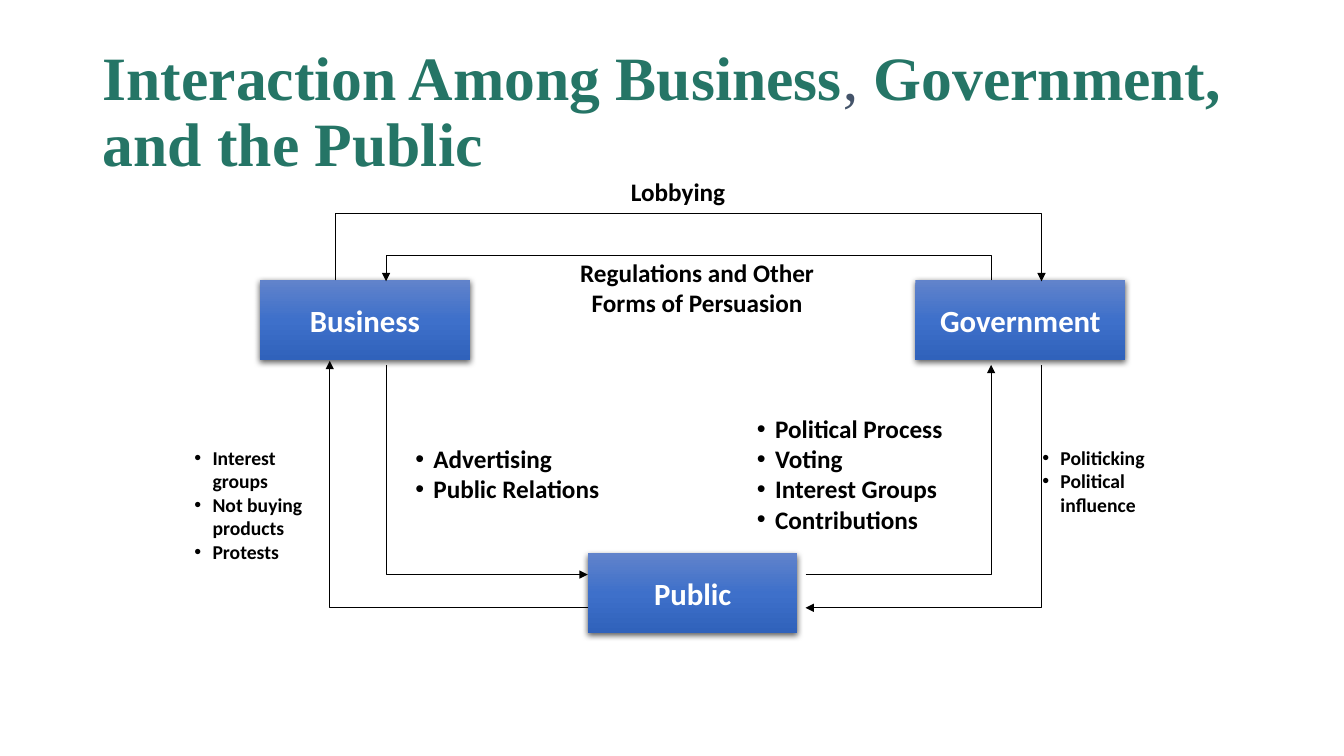
from copy import deepcopy

from lxml.etree import SubElement
from pptx import Presentation
from pptx.dml.color import RGBColor
from pptx.enum.shapes import MSO_CONNECTOR, MSO_SHAPE
from pptx.enum.text import MSO_ANCHOR, MSO_AUTO_SIZE, PP_ALIGN
from pptx.oxml.ns import qn
from pptx.util import Inches, Pt

GREEN = RGBColor(0x25, 0x75, 0x66)
SLATE = RGBColor(0x44, 0x54, 0x6A)
BLACK = RGBColor(0, 0, 0)
WHITE = RGBColor(0xFF, 0xFF, 0xFF)
BLUES = (
    RGBColor(0x61, 0x83, 0xCB),
    RGBColor(0x3E, 0x70, 0xCA),
    RGBColor(0x30, 0x62, 0xBB),
)


def node(parent, tag, **attrs):
    """Add an XML child with the given attributes."""
    return SubElement(parent, qn(tag), {k: str(v) for k, v in attrs.items()})


def write(para, text, size=18, color=BLACK, bold=True, font="Calibri", align=None):
    """Add formatted text to a paragraph, with a break at each newline."""
    para.alignment = align
    for i, part in enumerate(text.split("\n")):
        if i:
            para.add_line_break()
        run = para.add_run()
        run.text = part
        run.font.size = Pt(size)
        run.font.name = font
        run.font.bold = bold
        run.font.color.rgb = color
    for gap in para._p.findall(qn("a:br")):
        gap.append(deepcopy(run._r.rPr))


def frame(slide, left, top, width, height, wrap=True, grow=True):
    """Add a text box and return its text frame."""
    box = slide.shapes.add_textbox(
        Inches(left), Inches(top), Inches(width), Inches(height)
    )
    body = box.text_frame
    body.word_wrap = wrap
    body.auto_size = MSO_AUTO_SIZE.SHAPE_TO_FIT_TEXT if grow else MSO_AUTO_SIZE.NONE
    return body


def title(slide):
    """Add the heading in its two colours."""
    body = frame(slide, 0.92, 0.4, 11.5, 1.45, grow=False)
    body.vertical_anchor = MSO_ANCHOR.MIDDLE
    para = body.paragraphs[0]
    para.line_spacing = 0.9
    look = {"size": 44, "font": "Times New Roman"}
    write(para, "Interaction Among Business", color=GREEN, **look)
    write(para, ", ", color=SLATE, bold=False, **look)
    write(para, "Government, and the Public", color=GREEN, **look)


def bullets(slide, place, items, size=18):
    """Add a bulleted list."""
    body = frame(slide, *place, wrap=False)
    for i, item in enumerate(items):
        para = body.add_paragraph() if i else body.paragraphs[0]
        write(para, item, size=size)
        props = para._p.get_or_add_pPr()
        props.set("marL", str(Inches(0.18)))
        props.set("indent", str(-Inches(0.18)))
        node(props, "a:buFont", typeface="Arial")
        node(props, "a:buChar", char="•")


def actor(slide, name, left, top):
    """Add a shaded box for one party."""
    box = slide.shapes.add_shape(
        MSO_SHAPE.RECTANGLE, Inches(left), Inches(top), Inches(2.08), Inches(0.79)
    )
    box.line.fill.background()
    box.shadow.inherit = False
    props = box._element.spPr
    grad = node(props, "a:gradFill", rotWithShape=1)
    stops = node(grad, "a:gsLst")
    for i, color in enumerate(BLUES):
        node(node(stops, "a:gs", pos=i * 50000), "a:srgbClr", val=color)
    node(grad, "a:lin", ang=5400000, scaled=0)
    props.find(qn("a:prstGeom")).addnext(grad)
    shade = node(
        props.find(qn("a:effectLst")), "a:outerShdw",
        blurRad=Pt(4.5), dist=Pt(1.5), dir=5400000, algn="ctr", rotWithShape=0,
    )
    node(node(shade, "a:srgbClr", val=BLACK), "a:alpha", val=63000)
    body = box.text_frame
    body.word_wrap = False
    body.vertical_anchor = MSO_ANCHOR.MIDDLE
    write(body.paragraphs[0], name, size=22, color=WHITE, align=PP_ALIGN.CENTER)


def arrow(slide, start, end, turn, peak=None):
    """Add an elbow arrow turned by quarter turns, with an optional peak height."""
    (ax, ay), (bx, by) = start, end
    dx, dy = bx - ax, by - ay
    run, rise = ((dx, dy), (dy, -dx), (-dx, -dy), (-dy, dx))[turn]
    cx, cy = (ax + bx) / 2, (ay + by) / 2
    edge = slide.shapes.add_connector(
        MSO_CONNECTOR.ELBOW,
        Inches(cx - run / 2), Inches(cy - rise / 2),
        Inches(cx + run / 2), Inches(cy + rise / 2),
    )
    edge.line.color.rgb = BLACK
    edge.line.width = Pt(0.75)
    props = edge._element.spPr
    props.find(qn("a:xfrm")).set("rot", str(turn * 5400000))
    geom = props.find(qn("a:prstGeom"))
    if peak is None:
        geom.set("prst", "bentConnector2")
    else:
        bend = round((peak - ay) / dy * 100000)
        node(geom.find(qn("a:avLst")), "a:gd", name="adj1", fmla=f"val {bend}")
    node(props.find(qn("a:ln")), "a:tailEnd", type="triangle")
    node(props, "a:effectLst")


def main():
    """Build the slide and save it."""
    deck = Presentation()
    deck.slide_width, deck.slide_height = Inches(13.33), Inches(7.5)
    slide = deck.slides.add_slide(deck.slide_layouts[6])

    title(slide)
    body = frame(slide, 6.16, 1.7, 1.5, 0.4)
    write(body.paragraphs[0], "Lobbying")
    body = frame(slide, 5.33, 2.5, 3.17, 0.7)
    words = "Regulations and Other Forms of Persuasion"
    write(body.paragraphs[0], words, align=PP_ALIGN.CENTER)

    bullets(slide, (4.02, 4.35, 2.05, 0.71), ["Advertising", "Public Relations"])
    bullets(
        slide, (7.41, 4.05, 2.06, 1.31),
        ["Political Process", "Voting", "Interest Groups", "Contributions"],
    )

    actor(slide, "Public", 5.83, 5.49)
    actor(slide, "Business", 2.58, 2.78)
    actor(slide, "Government", 9.08, 2.78)

    arrow(slide, (5.83, 6.03), (3.27, 3.58), 2)
    arrow(slide, (3.83, 3.62), (5.83, 5.7), 3)
    arrow(slide, (7.99, 5.7), (9.83, 3.62), 0)
    arrow(slide, (10.33, 3.62), (7.99, 6.03), 1)
    arrow(slide, (3.33, 2.78), (10.33, 2.79), 1, peak=2.11)
    arrow(slide, (9.83, 2.78), (3.83, 2.79), 3, peak=2.53)

    bullets(
        slide, (1.83, 4.37, 1.37, 1.28),
        ["Interest \ngroups", "Not buying \nproducts", "Protests"], size=14,
    )
    bullets(
        slide, (10.24, 4.37, 1.23, 0.81),
        ["Politicking", "Political\ninfluence"], size=14,
    )
    deck.save("out.pptx")


if __name__ == "__main__":
    main()
